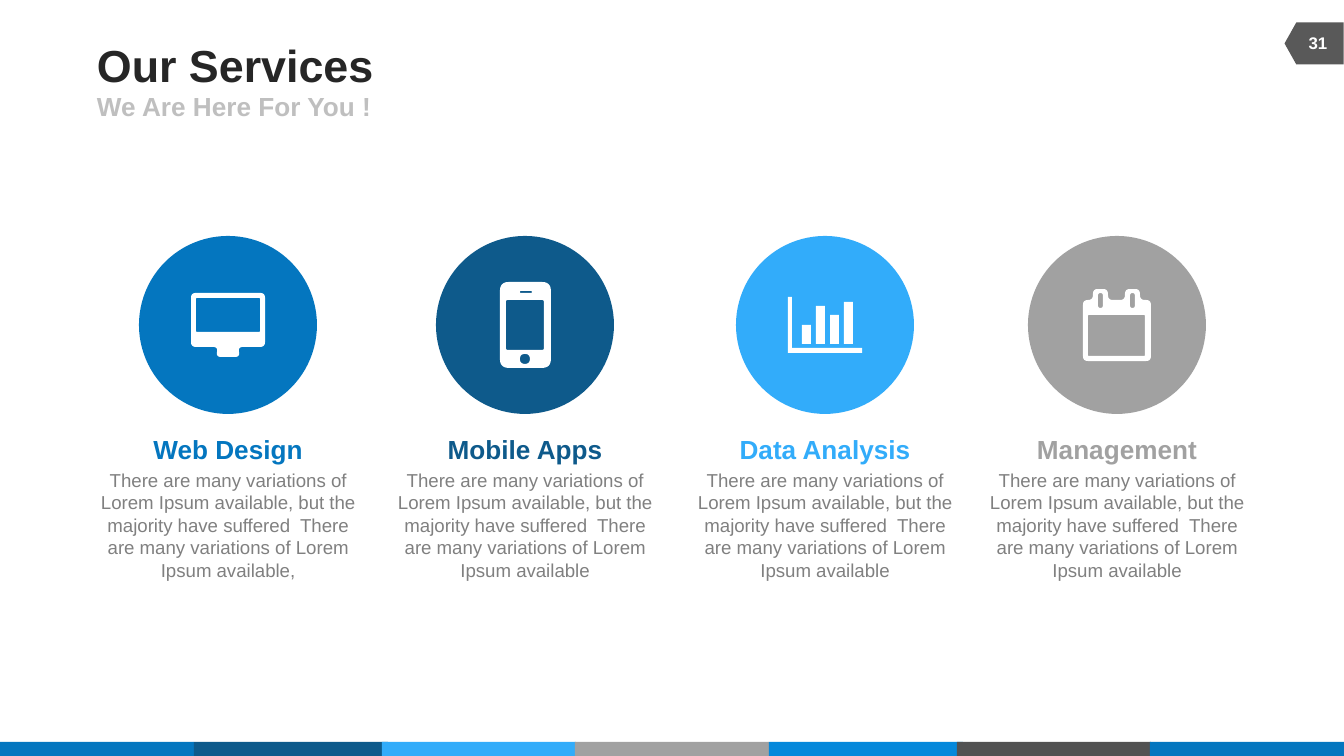
import dataclasses

import pptx
import pptx.dml.color
import pptx.enum.shapes
import pptx.enum.text
import pptx.util

EMU_PER_PX = 914400 / 134.4
SHAPES = pptx.enum.shapes.MSO_SHAPE
ALIGN = pptx.enum.text.PP_ALIGN
ANCHOR = pptx.enum.text.MSO_ANCHOR


@dataclasses.dataclass(frozen=True)
class Theme:
    """Colours, type sizes and font of the slide."""

    font: str = "Arial"
    blue: str = "0476BF"
    navy: str = "0E5A8B"
    sky: str = "32ACFA"
    gray: str = "A1A1A1"
    azure: str = "0588DB"
    charcoal: str = "525252"
    badge: str = "595959"
    title: str = "262626"
    subtitle: str = "BFBFBF"
    body: str = "808080"
    white: str = "FFFFFF"
    title_size: int = 24
    heading_size: int = 14
    body_size: int = 10
    badge_size: int = 9


THEME = Theme()
BODY = (
    "There are many variations of Lorem Ipsum available, but the majority have "
    "suffered  There are many variations of Lorem Ipsum available"
)
STRIPS = (
    (0, THEME.blue),
    (194, THEME.navy),
    (382, THEME.sky),
    (575, THEME.gray),
    (769, THEME.azure),
    (957, THEME.charcoal),
    (1150, THEME.blue),
)
CIRCLE_CENTER_Y = 325
CIRCLE_SIZE = 178
CARD_WIDTH = 290


def px(length):
    """Turn a length in px into EMU."""
    return pptx.util.Emu(round(length * EMU_PER_PX))


def paint(shape, color):
    """Give a shape a flat fill without line or shadow."""
    shape.shadow.inherit = False
    shape.fill.solid()
    shape.fill.fore_color.rgb = pptx.dml.color.RGBColor.from_string(color)
    shape.line.fill.background()


def add_block(slide, kind, left, top, width, height, color, rotation=0):
    """Add a flat preset shape."""
    shape = slide.shapes.add_shape(kind, px(left), px(top), px(width), px(height))
    shape.rotation = rotation
    paint(shape, color)


def add_text_box(slide, left, top, width, height, inset=None, anchor=ANCHOR.MIDDLE):
    """Add an empty wrapping text box and return its text frame."""
    box = slide.shapes.add_textbox(px(left), px(top), px(width), px(height))
    frame = box.text_frame
    frame.word_wrap = True
    frame.vertical_anchor = anchor
    if inset is not None:
        frame.margin_left = frame.margin_right = px(inset)
        frame.margin_top = frame.margin_bottom = px(inset)
    return frame


def write(paragraph, text, *, size, color, bold=True, align=ALIGN.LEFT, before=0):
    """Write formatted text into a paragraph."""
    paragraph.alignment = align
    paragraph.space_before = pptx.util.Pt(before)
    run = paragraph.add_run()
    run.text = text
    run.font.name = THEME.font
    run.font.size = pptx.util.Pt(size)
    run.font.bold = bold
    run.font.color.rgb = pptx.dml.color.RGBColor.from_string(color)


def rounded(corners, radius, steps=6):
    """Return the outline of a polygon with its corners rounded."""
    points = []
    for index, (x, y) in enumerate(corners):
        ends = []
        for near_x, near_y in (corners[index - 1], corners[(index + 1) % len(corners)]):
            length = max(abs(near_x - x), abs(near_y - y))
            share = min(radius / length, 0.5)
            ends.append((x + (near_x - x) * share, y + (near_y - y) * share))
        (start_x, start_y), (end_x, end_y) = ends
        for step in range(steps + 1):
            t = step / steps
            a, b, c = (1 - t) ** 2, 2 * t * (1 - t), t ** 2
            points.append((a * start_x + b * x + c * end_x, a * start_y + b * y + c * end_y))
    return points


def box(left, top, right, bottom, radius=0):
    """Return the outline of a rectangle, rounded if a radius is given."""
    corners = [(left, top), (right, top), (right, bottom), (left, bottom)]
    return rounded(corners, radius) if radius else corners


def monitor_icon():
    """Return the outlines of a desktop monitor."""
    body = [
        (-37, -32), (37, -32), (37, 22), (10, 22), (12, 32),
        (-12, 32), (-10, 22), (-37, 22),
    ]
    return [rounded(body, 5), box(-32, -27, 32, 7, 1)]


def phone_icon():
    """Return the outlines of a mobile phone."""
    return [
        box(-25, -43, 26, 43, 9),
        box(-19, -25, 19, 25, 2),
        box(-5, -34, 7, -32, 1),
        box(-5, 29, 5, 39, 5),
    ]


def chart_icon():
    """Return the outlines of a bar chart with its axes."""
    axes = [(-37, -28), (-33, -28), (-33, 23), (37, 23), (37, 28), (-37, 28)]
    bars = [box(-23 + 14 * i, top, -14 + 14 * i, 19) for i, top in enumerate((0, -19, -10, -23))]
    return [axes, *bars]


def calendar_icon():
    """Return the outlines of a calendar page with two rings."""
    body = [(-34, -25)]
    rings = []
    for left in (-24, 8):
        body += [(left, -25), (left, -36), (left + 15, -36), (left + 15, -25)]
        rings.append(box(left + 5, -32, left + 10, -17, 3))
    body += [(34, -25), (34, 36), (-34, 36)]
    return [rounded(body, 5), box(-29, -10, 28, 31, 1), *rings]


def add_icon(slide, center_x, center_y, outlines):
    """Draw outlines around a centre as one white freeform."""
    builder = None
    for outline in outlines:
        first, *rest = [(px(center_x + x), px(center_y + y)) for x, y in outline]
        if builder is None:
            builder = slide.shapes.build_freeform(*first)
        else:
            builder.move_to(*first)
        builder.add_line_segments(rest, close=True)
    paint(builder.convert_to_shape(), THEME.white)


def add_service(slide, center_x, name, body, color, outlines):
    """Add one service: circle, icon, heading and description."""
    radius = CIRCLE_SIZE / 2
    add_block(
        slide, SHAPES.OVAL, center_x - radius, CIRCLE_CENTER_Y - radius,
        CIRCLE_SIZE, CIRCLE_SIZE, color,
    )
    add_icon(slide, center_x, CIRCLE_CENTER_Y, outlines)
    frame = add_text_box(slide, center_x - CARD_WIDTH / 2, 427, CARD_WIDTH, 163, anchor=ANCHOR.TOP)
    write(frame.paragraphs[0], name, size=THEME.heading_size, color=color, align=ALIGN.CENTER)
    write(
        frame.add_paragraph(), body, size=THEME.body_size, color=THEME.body,
        bold=False, align=ALIGN.CENTER, before=2,
    )


def main():
    """Build the services slide and save it."""
    presentation = pptx.Presentation()
    presentation.slide_width, presentation.slide_height = px(1344), px(756)
    slide = presentation.slides.add_slide(presentation.slide_layouts[6])
    for left, color in STRIPS:
        add_block(slide, SHAPES.RECTANGLE, left, 742, 194, 14, color)
    add_block(slide, SHAPES.FLOWCHART_OFFPAGE_CONNECTOR, 1293, 14, 42, 59, THEME.badge, 90)
    title = add_text_box(slide, 97, 39, 829, 52, inset=0)
    write(title.paragraphs[0], "Our Services", size=THEME.title_size, color=THEME.title)
    subtitle = add_text_box(slide, 97, 91, 605, 30, inset=0)
    write(
        subtitle.paragraphs[0], "We Are Here For You !",
        size=THEME.heading_size, color=THEME.subtitle,
    )
    number = add_text_box(slide, 1290, 23, 56, 40)
    write(
        number.paragraphs[0], "31", size=THEME.badge_size, color=THEME.white, align=ALIGN.CENTER,
    )
    add_service(slide, 228, "Web Design", BODY + ",", THEME.blue, monitor_icon())
    add_service(slide, 525, "Mobile Apps", BODY, THEME.navy, phone_icon())
    add_service(slide, 825, "Data Analysis", BODY, THEME.sky, chart_icon())
    add_service(slide, 1117, "Management", BODY, THEME.gray, calendar_icon())
    presentation.save("out.pptx")


if __name__ == "__main__":
    main()
